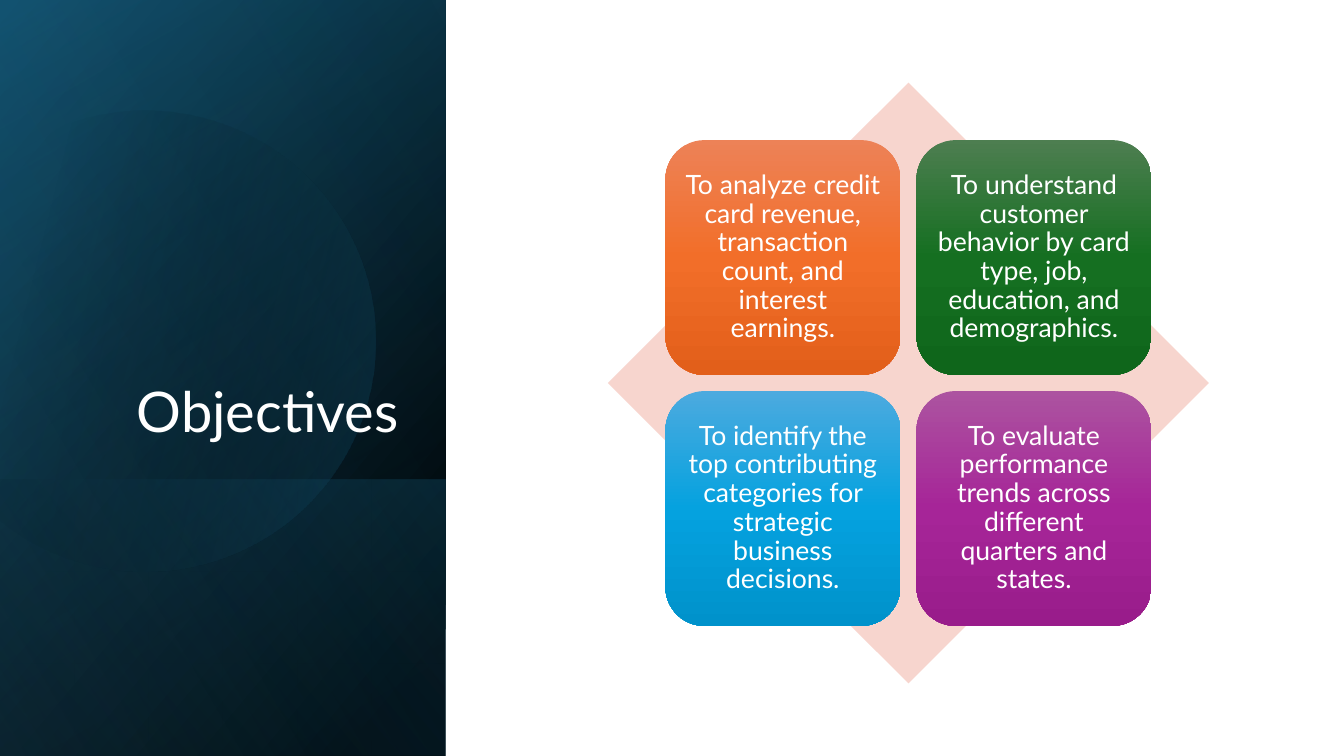
import math

import pptx
import pptx.dml.color
import pptx.enum.shapes
import pptx.enum.text
import pptx.oxml
import pptx.oxml.ns
import pptx.util
from pptx.util import Inches

COLORS = {
    "white": "FFFFFF",
    "black": "000000",
    "navy": "104862",
    "teal": "156082",
    "sky": "46B1E1",
    "blush": "F7D5CE",
    "orange_light": "ED8257", "orange": "F26E29", "orange_dark": "E25F1A",
    "green_light": "4D7E50", "green": "156F21", "green_dark": "0F661B",
    "blue_light": "4CAADF", "blue": "05A2DF", "blue_dark": "0092CB",
    "purple_light": "AC53A0", "purple": "A62598", "purple_dark": "991C8B",
}
FONT = "Lato"
SHAPES = pptx.enum.shapes.MSO_SHAPE
ALIGN = pptx.enum.text.PP_ALIGN
ANCHOR = pptx.enum.text.MSO_ANCHOR

OBJECTIVES = [
    ("orange", "To analyze credit card revenue, transaction count, and interest earnings."),
    ("green", "To understand customer behavior by card type, job, education, and demographics."),
    ("blue", "To identify the top contributing categories for strategic business decisions."),
    ("purple", "To evaluate performance trends across different quarters and states."),
]


def rgb(name):
    return pptx.dml.color.RGBColor.from_string(COLORS[name])


def fill_gradient(shape, stops, angle):
    shape.shadow.inherit = False
    shape.line.fill.background()
    shape.fill.gradient()
    gradient = shape._element.spPr.find(pptx.oxml.ns.qn("a:gradFill"))
    stop_list = gradient.find(pptx.oxml.ns.qn("a:gsLst"))
    for stop in list(stop_list):
        stop_list.remove(stop)
    for position, color, opacity in stops:
        stop_list.append(pptx.oxml.parse_xml(
            f'<a:gs {pptx.oxml.ns.nsdecls("a")} pos="{position * 1000}">'
            f'<a:srgbClr val="{COLORS[color]}"><a:alpha val="{opacity * 1000}"/>'
            f'</a:srgbClr></a:gs>'))
    gradient.find(pptx.oxml.ns.qn("a:lin")).set("ang", str(angle * 60000))


def write_text(shape, text, size, alignment, anchor):
    frame = shape.text_frame
    frame.word_wrap = True
    frame.vertical_anchor = anchor
    paragraph = frame.paragraphs[0]
    paragraph.alignment = alignment
    paragraph.line_spacing = 0.9
    run = paragraph.add_run()
    run.text = text
    run.font.name = FONT
    run.font.size = pptx.util.Pt(size)
    run.font.color.rgb = rgb("white")


def add_turned_layer(slide, box, stops, angle):
    left, top, width, height = box
    shift = (height - width) / 2
    layer = slide.shapes.add_shape(
        SHAPES.RECTANGLE, Inches(left - shift), Inches(top + shift),
        Inches(height), Inches(width))
    layer.rotation = 90
    layer._element.spPr.find(pptx.oxml.ns.qn("a:xfrm")).set("flipH", "1")
    fill_gradient(layer, stops, angle)


def add_cut_circle(slide, box):
    left, top, width, height = box
    radius = height / 2
    start, end, arcs = -118, 150, 4
    sweep = math.radians(end - start) / arcs
    pull = 4 / 3 * math.tan(sweep / 4)

    def point(turn, tangent=0):
        x = width - radius + radius * (math.cos(turn) - tangent * math.sin(turn))
        y = radius + radius * (math.sin(turn) + tangent * math.cos(turn))
        return Inches(x), Inches(y)

    turns = [math.radians(start) + sweep * index for index in range(arcs + 1)]
    builder = slide.shapes.build_freeform(*point(turns[0]))
    builder.add_line_segments([point(turn) for turn in turns[1:]], close=True)
    circle = builder.convert_to_shape()
    circle.left, circle.top = Inches(left), Inches(top)
    circle.width, circle.height = Inches(width), Inches(height)
    circle.rotation = 343.9

    def mark(x, y):
        return f'<a:pt x="{x}" y="{y}"/>'

    curves = "".join(
        "<a:cubicBezTo>" + mark(*point(a, pull)) + mark(*point(b, -pull))
        + mark(*point(b)) + "</a:cubicBezTo>"
        for a, b in zip(turns, turns[1:]))
    outline = pptx.oxml.parse_xml(
        f'<a:pathLst {pptx.oxml.ns.nsdecls("a")}>'
        f'<a:path w="{Inches(width)}" h="{Inches(height)}">'
        f'<a:moveTo>{mark(*point(turns[0]))}</a:moveTo>{curves}<a:close/>'
        f'</a:path></a:pathLst>')
    geometry = circle._element.spPr.find(pptx.oxml.ns.qn("a:custGeom"))
    geometry.replace(geometry.find(pptx.oxml.ns.qn("a:pathLst")), outline)
    fill_gradient(circle, [(29, "black", 0), (100, "teal", 43)], 30)


def add_title_panel(slide, box):
    left, top, width, height = box
    foot = 2.74
    add_turned_layer(slide, box, [(8, "black", 100), (100, "navy", 100)], 50)
    add_turned_layer(slide, box, [(0, "black", 0), (99, "teal", 46)], 30)
    add_turned_layer(slide, (left, top + height - foot, width, foot),
                     [(2, "teal", 29), (100, "black", 30)], 130)
    add_cut_circle(slide, (left - 0.55, top + 1.06, 4.27, 4.57))
    add_turned_layer(slide, box, [(0, "black", 0), (99, "sky", 11)], 120)
    title = slide.shapes.add_textbox(
        Inches(left + 0.64), Inches(top + 1.84), Inches(3.41), Inches(2.62))
    write_text(title, "Objectives", 40, ALIGN.RIGHT, ANCHOR.BOTTOM)


def add_objective_matrix(slide, box):
    left, top, width, height = box
    diamond = slide.shapes.add_shape(
        SHAPES.DIAMOND, Inches(left), Inches(top), Inches(width), Inches(height))
    diamond.shadow.inherit = False
    diamond.fill.solid()
    diamond.fill.fore_color.rgb = rgb("blush")
    diamond.line.fill.background()

    margin, side = 0.57, 2.33
    pitch = width - 2 * margin - side
    for index, (color, text) in enumerate(OBJECTIVES):
        row, column = divmod(index, 2)
        tile = slide.shapes.add_shape(
            SHAPES.ROUNDED_RECTANGLE,
            Inches(left + margin + column * pitch),
            Inches(top + margin + row * pitch), Inches(side), Inches(side))
        fill_gradient(tile, [(0, f"{color}_light", 100), (50, color, 100),
                             (100, f"{color}_dark", 100)], 90)
        frame = tile.text_frame
        frame.margin_left = frame.margin_right = Inches(0.08)
        frame.margin_top = frame.margin_bottom = Inches(0.08)
        write_text(tile, text, 19, ALIGN.CENTER, ANCHOR.MIDDLE)


def main():
    presentation = pptx.Presentation()
    presentation.slide_width = Inches(13.33)
    presentation.slide_height = Inches(7.5)
    slide = presentation.slides.add_slide(presentation.slide_layouts[6])
    slide.background.fill.solid()
    slide.background.fill.fore_color.rgb = rgb("white")
    add_title_panel(slide, (0, 0, 4.42, 7.5))
    add_objective_matrix(slide, (6.03, 0.82, 5.96, 5.96))
    presentation.save("out.pptx")


if __name__ == "__main__":
    main()
